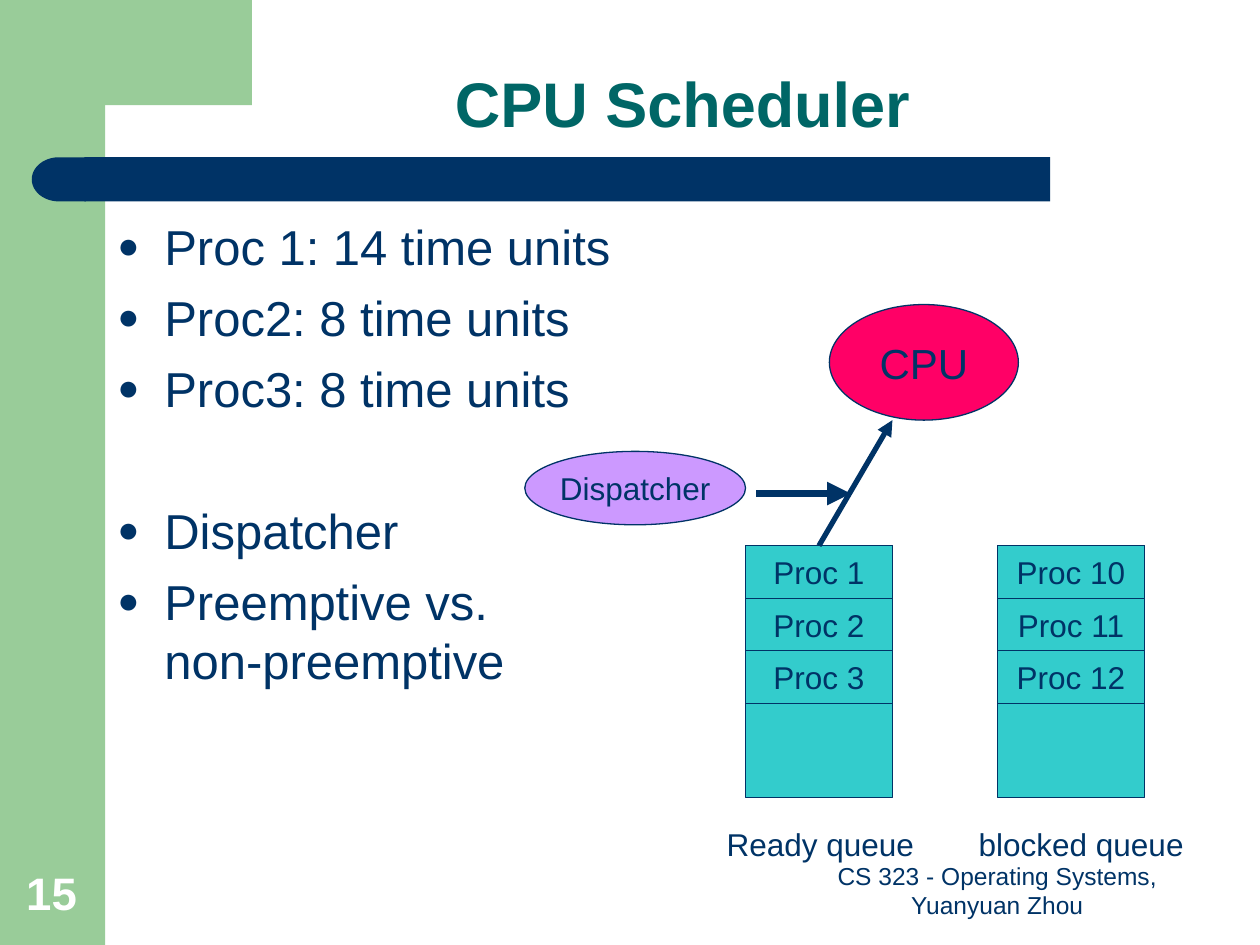
from copy import deepcopy

from lxml.etree import SubElement
from pptx import Presentation
from pptx.dml.color import RGBColor
from pptx.enum.shapes import MSO_CONNECTOR, MSO_SHAPE
from pptx.enum.text import MSO_ANCHOR, MSO_AUTO_SIZE, PP_ALIGN
from pptx.oxml.ns import qn
from pptx.util import Cm, Pt

NAVY = RGBColor(0x00, 0x33, 0x66)
TEAL = RGBColor(0x00, 0x66, 0x66)
GREEN = RGBColor(0x99, 0xCC, 0x99)
AQUA = RGBColor(0x33, 0xCC, 0xCC)
PINK = RGBColor(0xFF, 0x00, 0x66)
LILAC = RGBColor(0xCC, 0x99, 0xFF)
WHITE = RGBColor(0xFF, 0xFF, 0xFF)


def style(para, size, color=NAVY, bold=False):
    for run in para.runs:
        run.font.name = "Arial"
        run.font.size = Pt(size)
        run.font.bold = bold
        run.font.color.rgb = color
    for gap in para._p.findall(qn("a:br")):
        gap.append(deepcopy(para.runs[0]._r.rPr))


def draw(slide, kind, box, fill, text="", size=18, edge=True):
    shape = slide.shapes.add_shape(kind, *map(Cm, box))
    shape.shadow.inherit = False
    shape.fill.solid()
    shape.fill.fore_color.rgb = fill
    if edge:
        shape.line.color.rgb = NAVY
        shape.line.width = Pt(0.75)
    else:
        shape.line.fill.background()
    if text:
        frame = shape.text_frame
        frame.word_wrap = False
        frame.vertical_anchor = MSO_ANCHOR.MIDDLE
        frame.text = text
        frame.paragraphs[0].alignment = PP_ALIGN.CENTER
        style(frame.paragraphs[0], size)
    return shape


def write(slide, box, text, size, color=NAVY, bold=False, wrap=True,
          anchor=MSO_ANCHOR.BOTTOM, align=PP_ALIGN.LEFT):
    frame = slide.shapes.add_textbox(*map(Cm, box)).text_frame
    frame.word_wrap = wrap
    frame.vertical_anchor = anchor
    frame.text = text
    frame.paragraphs[0].alignment = align
    style(frame.paragraphs[0], size, color, bold)


def arrow(slide, start, end, width):
    line = slide.shapes.add_connector(
        MSO_CONNECTOR.STRAIGHT, *map(Cm, start + end))
    line.line.color.rgb = NAVY
    line.line.width = Pt(width)
    SubElement(line.line._get_or_add_ln(), qn("a:tailEnd"), type="triangle")
    SubElement(line._element.spPr, qn("a:effectLst"))


def place(slide, holder, box):
    slide.shapes._spTree.append(holder._element)
    holder.left, holder.top, holder.width, holder.height = map(Cm, box)
    holder.text_frame.auto_size = MSO_AUTO_SIZE.NONE
    return holder.text_frame


def add_frame(slide, box):
    left, top, width, height = box
    draw(slide, MSO_SHAPE.RECTANGLE, (left, top, 2.12, height), GREEN, edge=False)
    points = [(5.08, 0), (5.08, 2.12), (2.11, 2.12), (1.96, 2.16), (1.8, 2.34),
              (1.73, 2.64), (1.7, 2.95), (1.7, 3.25), (1.27, 3.25)]
    path = slide.shapes.build_freeform(Cm(left + 1.27), Cm(top))
    path.add_line_segments([(Cm(left + x), Cm(top + y)) for x, y in points])
    hook = path.convert_to_shape()
    hook.shadow.inherit = False
    hook.fill.solid()
    hook.fill.fore_color.rgb = GREEN
    hook.line.fill.background()
    draw(slide, MSO_SHAPE.RECTANGLE, (left + 1.7, top + 3.17, 19.47, 0.89),
         NAVY, edge=False)
    cap = draw(slide, MSO_SHAPE.FLOWCHART_DELAY,
               (left + 0.64, top + 3.17, 1.09, 0.89), NAVY, edge=False)
    cap.rotation = 180


def add_title(slide, box, text):
    frame = place(slide, slide.shapes.title, box)
    frame.vertical_anchor = MSO_ANCHOR.BOTTOM
    frame.text = text
    para = frame.paragraphs[0]
    para.alignment = PP_ALIGN.CENTER
    para.line_spacing = 0.9
    style(para, 36, TEAL, True)


def add_list(slide, box, items):
    frame = place(slide, slide.placeholders[1], box)
    for i, (text, space) in enumerate(items):
        para = frame.add_paragraph() if i else frame.paragraphs[0]
        para.text = text
        para.space_before = Pt(space)
        props = para._p.get_or_add_pPr()
        props.set("marL", str(Cm(0.95)))
        props.set("indent", str(-Cm(0.95)))
        tint = SubElement(props, qn("a:buClr"))
        SubElement(tint, qn("a:srgbClr"), val=str(NAVY))
        SubElement(props, qn("a:buSzPct"), val="75000")
        SubElement(props, qn("a:buFont"), typeface="Arial")
        SubElement(props, qn("a:buChar"), char="●")
        style(para, 28)


def add_queue(slide, box, label, procs):
    left, top, width, height = box
    row = 1.06
    draw(slide, MSO_SHAPE.RECTANGLE, box, AQUA)
    for i, proc in enumerate(procs):
        draw(slide, MSO_SHAPE.RECTANGLE, (left, top + i * row, width, row), AQUA, proc)
    write(slide, (left - 0.63, top + height + 0.43, 4.9, 1.02), label, 18,
          wrap=False, anchor=MSO_ANCHOR.TOP)


def add_chart(slide, box):
    left, top, width, height = box
    queues = [("Ready queue", ["Proc 1", "Proc 2", "Proc 3"]),
              ("blocked queue", ["Proc 10", "Proc 11", "Proc 12"])]
    for i, (label, procs) in enumerate(queues):
        add_queue(slide, (left + 4.45 + i * 5.08, top + 4.86, 2.96, 5.08), label, procs)
    draw(slide, MSO_SHAPE.OVAL, (left + 6.14, top, 3.81, 2.33), PINK, "CPU", 24)
    arrow(slide, (left + 5.93, top + 4.86), (left + 7.41, top + 2.33), 3)
    draw(slide, MSO_SHAPE.OVAL, (left, top + 2.96, 4.45, 1.48), LILAC, "Dispatcher")
    arrow(slide, (left + 4.66, top + 3.81), (left + 6.57, top + 3.81), 4.5)


def add_foot(slide, box, text, page):
    left, top, width, height = box
    write(slide, (left + 15.8, top, 8.05, height), text, 14, align=PP_ALIGN.CENTER)
    write(slide, (left, top, 1.63, height), page, 26, WHITE, True)


def main():
    deck = Presentation()
    deck.slide_width, deck.slide_height = Cm(25.4), Cm(19.05)
    slide = deck.slides.add_slide(deck.slide_layouts[1])
    add_frame(slide, (0, 0, 25.4, 19.05))
    add_title(slide, (2.95, 0.2, 21.62, 2.77), "CPU Scheduler")
    add_list(slide, (2.11, 4.24, 21.36, 13.13), [
        ("Proc 1: 14 time units", 0),
        ("Proc2: 8 time units", 7),
        ("Proc3: 8 time units", 7),
        ("Dispatcher", 47.5),
        ("Preemptive vs.\vnon-preemptive", 7),
    ])
    add_chart(slide, (10.58, 6.14, 12.5, 11.39))
    add_foot(slide, (0.28, 17.33, 23.85, 1.33),
             "CS 323 - Operating Systems, Yuanyuan Zhou", "15")
    deck.save("out.pptx")


if __name__ == "__main__":
    main()
